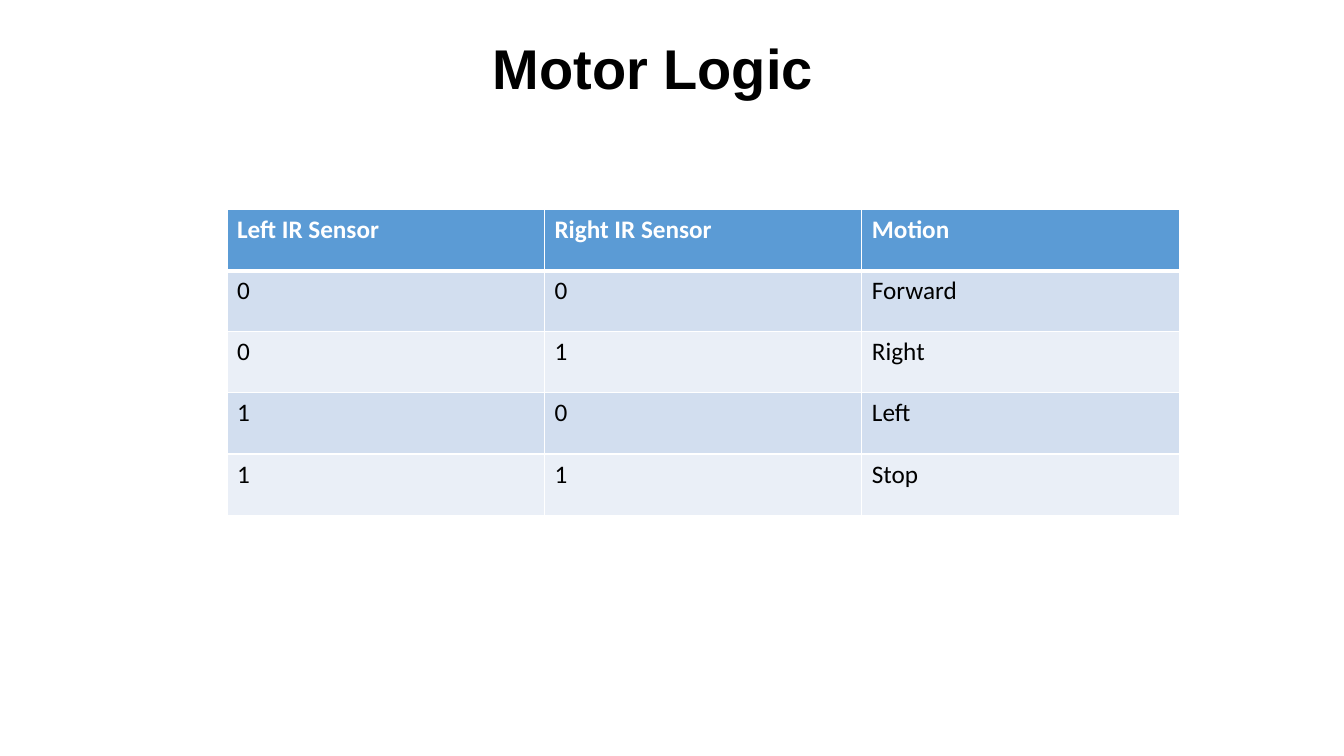
from dataclasses import dataclass

from lxml import etree
from pptx import Presentation
from pptx.dml.color import RGBColor
from pptx.enum.text import MSO_AUTO_SIZE, PP_ALIGN
from pptx.oxml.ns import qn
from pptx.util import Cm, Pt

JUSTIFY = PP_ALIGN.JUSTIFY
GROW = MSO_AUTO_SIZE.SHAPE_TO_FIT_TEXT


@dataclass(frozen=True)
class Theme:
    black: str = "000000"
    white: str = "FFFFFF"
    head: str = "5B9BD5"
    bands: tuple = ("D2DEEF", "EAEFF7")
    title_font: str = "Arial"
    body_font: str = "Calibri"
    title_size: int = 40
    body_size: int = 18
    thin: int = 1
    thick: int = 3


THEME = Theme()
LOGIC = [
    ("Left IR Sensor", "Right IR Sensor", "Motion"),
    ("0", "0", "Forward"),
    ("0", "1", "Right"),
    ("1", "0", "Left"),
    ("1", "1", "Stop"),
]


def add_run(para, text, font, size, color, bold):
    run = para.add_run()
    run.text = text
    run.font.name = font
    run.font.size = Pt(size)
    run.font.bold = bold
    run.font.color.rgb = RGBColor.from_string(color)


def add_edge(cell, side, width):
    """Draw one white cell border; side is L, R, T or B."""
    props = cell._tc.get_or_add_tcPr()
    line = etree.SubElement(props, qn(f"a:ln{side}"), w=str(Pt(width)))
    fill = etree.SubElement(line, qn("a:solidFill"))
    etree.SubElement(fill, qn("a:srgbClr"), val=THEME.white)


def add_title(slide, box, text):
    frame = slide.shapes.add_textbox(*box).text_frame
    frame.word_wrap = True
    frame.auto_size = GROW
    para = frame.paragraphs[0]
    para.alignment = JUSTIFY
    add_run(para, text, THEME.title_font, THEME.title_size, THEME.black, True)


def style_cell(cell, text, row):
    head = row == 0
    for side in "LRTB":
        rule = (head and side == "B") or (row == 1 and side == "T")
        add_edge(cell, side, THEME.thick if rule else THEME.thin)
    back = THEME.head if head else THEME.bands[(row - 1) % 2]
    cell.fill.solid()
    cell.fill.fore_color.rgb = RGBColor.from_string(back)
    color = THEME.white if head else THEME.black
    para = cell.text_frame.paragraphs[0]
    add_run(para, text, THEME.body_font, THEME.body_size, color, head)


def add_logic(slide, box, rows):
    table = slide.shapes.add_table(len(rows), len(rows[0]), *box).table
    for r, texts in enumerate(rows):
        for c, text in enumerate(texts):
            style_cell(table.cell(r, c), text, r)


def main():
    deck = Presentation()
    deck.slide_width, deck.slide_height = Cm(33.87), Cm(19.05)
    slide = deck.slides.add_slide(deck.slide_layouts[6])
    add_title(slide, (Cm(12.17), Cm(0.71), Cm(9.55), Cm(1.96)), "Motor Logic")
    add_logic(slide, (Cm(5.72), Cm(5.28), Cm(24), Cm(7.7)), LOGIC)
    deck.save("out.pptx")


if __name__ == "__main__":
    main()
